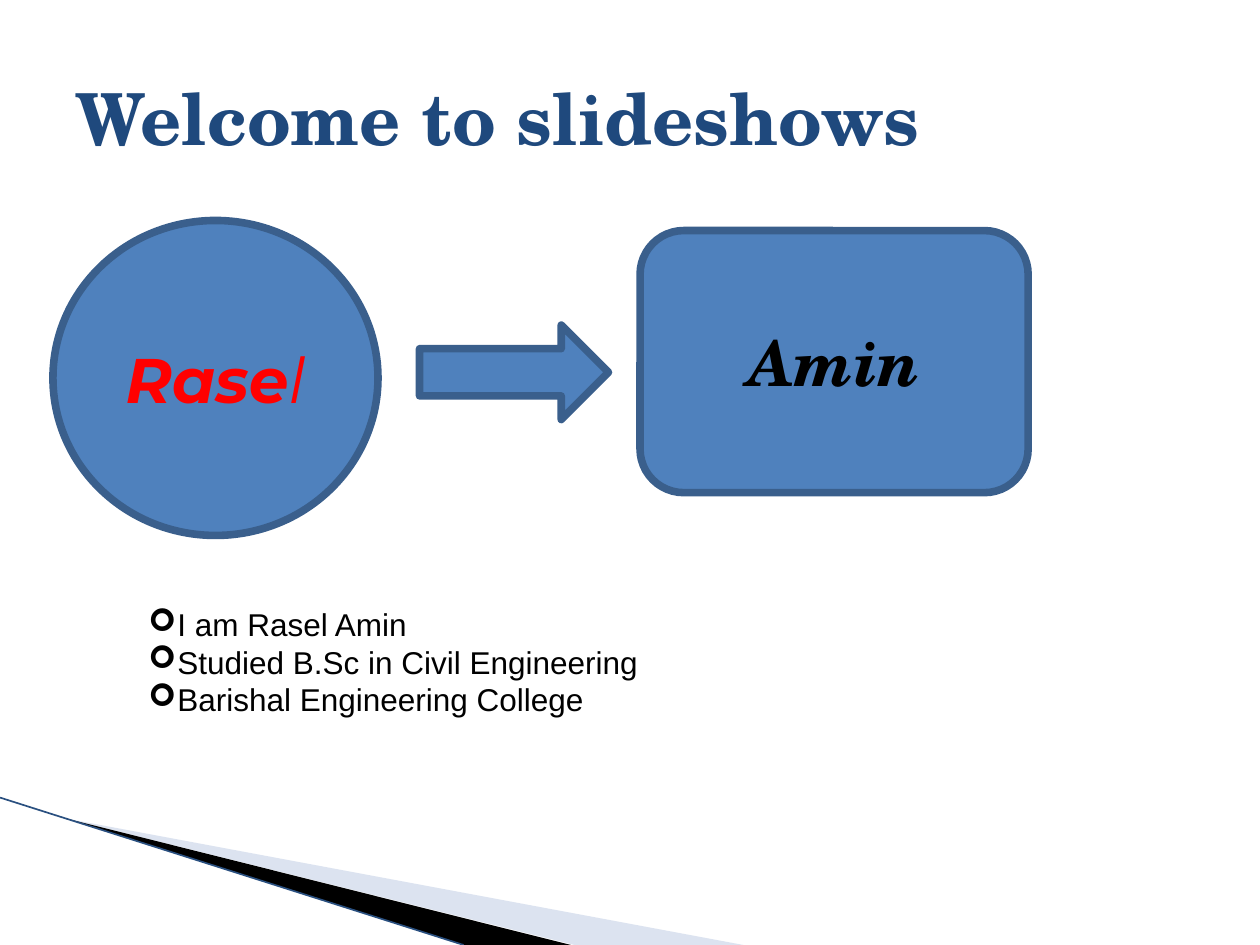
from lxml.etree import SubElement
from pptx import Presentation
from pptx.dml.color import RGBColor
from pptx.enum.shapes import MSO_CONNECTOR as Connector, MSO_SHAPE as Preset
from pptx.enum.text import MSO_ANCHOR as Anchor, PP_ALIGN as Align
from pptx.oxml.ns import qn
from pptx.util import Inches, Pt

NAVY = RGBColor(0x1F, 0x49, 0x7D)
BLUE = RGBColor(0x4F, 0x81, 0xBD)
OUTLINE = RGBColor(0x3A, 0x5F, 0x8C)
PALE = RGBColor(0xDC, 0xE3, 0xF0)
EDGE = RGBColor(0x2A, 0x50, 0x80)
RED = RGBColor(0xFF, 0x00, 0x00)
BLACK = RGBColor(0x00, 0x00, 0x00)
SERIF, SANS, BODY = "TeX Gyre Schola", "Montserrat", "Arial"


def add_run(paragraph, text, font, size, color, bold=False, italic=False):
    """Append one formatted run to a paragraph."""
    run = paragraph.add_run()
    run.text = text
    run.font.name, run.font.size = font, Pt(size)
    run.font.bold, run.font.italic = bold, italic
    run.font.color.rgb = color


def add_text_frame(slide, box):
    """Add a wrapping text box and return its text frame."""
    frame = slide.shapes.add_textbox(*map(Inches, box)).text_frame
    frame.word_wrap = True
    return frame


def add_wedge(slide, points, color):
    """Draw a filled polygon through points given in inches."""
    start, *rest = [(Inches(x), Inches(y)) for x, y in points]
    builder = slide.shapes.build_freeform(*start)
    builder.add_line_segments(rest, close=True)
    shape = builder.convert_to_shape()
    shape.shadow.inherit = False
    shape.fill.solid()
    shape.fill.fore_color.rgb = color
    shape.line.fill.background()


def add_corner(slide, left, top, width, height):
    """Draw the swoosh that crosses the lower left corner."""
    bottom, tip = top + height, (left + 0.54, top + 0.17)
    add_wedge(slide, [tip, (left + 5.9, bottom), (left + 4.56, bottom)], PALE)
    add_wedge(slide, [tip, (left + 4.53, bottom), (left + width, bottom)], BLACK)
    edge = slide.shapes.add_connector(
        Connector.STRAIGHT, *map(Inches, (left, top, left + width, bottom)))
    edge.line.color.rgb, edge.line.width = EDGE, Pt(0.95)
    SubElement(edge._element.spPr, qn("a:effectLst"))


def add_title(slide, box, text):
    """Place the slide title, centred vertically in its box."""
    frame = add_text_frame(slide, box)
    frame.vertical_anchor = Anchor.MIDDLE
    add_run(frame.paragraphs[0], text, SERIF, 41, NAVY, bold=True)


def add_node(slide, preset, box, runs=()):
    """Add an outlined blue shape with centred italic runs."""
    shape = slide.shapes.add_shape(preset, *map(Inches, box))
    shape.shadow.inherit = False
    shape.fill.solid()
    shape.fill.fore_color.rgb = BLUE
    shape.line.color.rgb, shape.line.width = OUTLINE, Pt(4.33)
    shape.text_frame.vertical_anchor = Anchor.MIDDLE
    paragraph = shape.text_frame.paragraphs[0]
    paragraph.alignment = Align.CENTER
    for text, font, color, bold in runs:
        add_run(paragraph, text, font, 36, color, bold, italic=True)


def add_bullets(slide, box, lines):
    """List the lines with arrowhead bullets."""
    frame = add_text_frame(slide, box)
    for index, line in enumerate(lines):
        paragraph = frame.add_paragraph() if index else frame.paragraphs[0]
        properties = paragraph._p.get_or_add_pPr()
        properties.set("marL", str(Inches(0.23)))
        properties.set("indent", str(-Inches(0.23)))
        SubElement(properties, qn("a:buFont"), typeface="Wingdings")
        SubElement(properties, qn("a:buChar"), char="➢")
        add_run(paragraph, line, BODY, 18, BLACK)


def main():
    """Build the welcome slide and save it."""
    presentation = Presentation()
    presentation.slide_width, presentation.slide_height = Inches(10), Inches(7.5)
    slide = presentation.slides.add_slide(presentation.slide_layouts[6])
    add_corner(slide, 0, 6.33, 3.68, 1.17)
    add_title(slide, (0.5, 0.3, 9, 1.25), "Welcome to slideshows")
    add_node(slide, Preset.OVAL, (0.42, 1.75, 2.58, 2.5),
             [("Rase", SANS, RED, True), ("l", SANS, RED, False)])
    add_node(slide, Preset.ROUNDED_RECTANGLE, (5.08, 1.83, 3.08, 2.08),
             [("Amin", SERIF, BLACK, True)])
    add_node(slide, Preset.RIGHT_ARROW, (3.33, 2.58, 1.5, 0.75))
    add_bullets(slide, (1.08, 4.75, 5.75, 1.01), [
        "I am Rasel Amin",
        "Studied B.Sc in Civil Engineering",
        "Barishal Engineering College",
    ])
    presentation.save("out.pptx")


if __name__ == "__main__":
    main()
